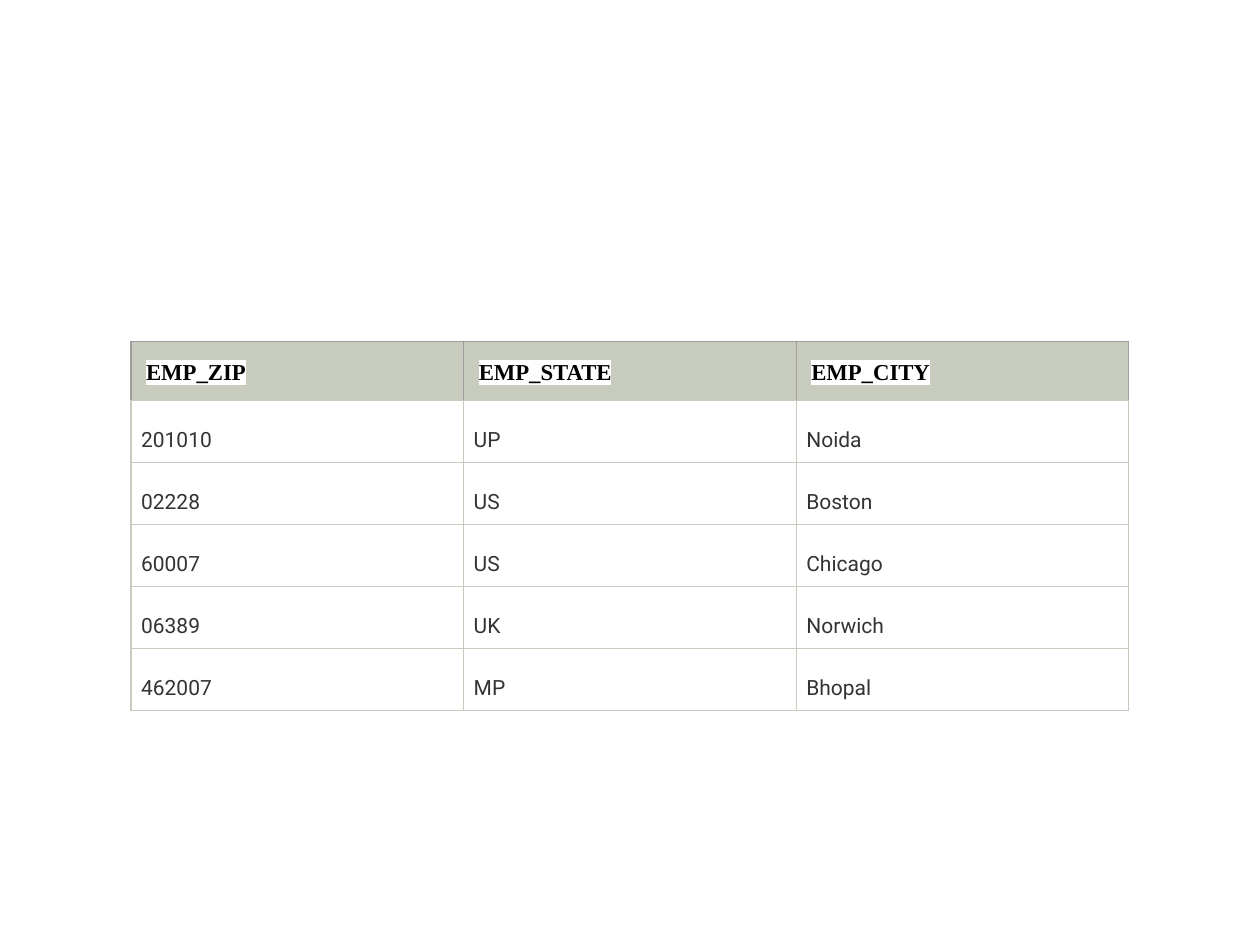
"""Build a slide with a table of employee ZIP codes, states and cities."""
from lxml import etree
from pptx import Presentation
from pptx import util as u
from pptx.dml.color import RGBColor
from pptx.enum import text
from pptx.oxml import ns

COLORS = {"sage": "C7CCBE", "gray": "9E9E9E", "ink": "333333",
          "black": "000000", "white": "FFFFFF"}
ROWS = [
    ("EMP_ZIP", "EMP_STATE", "EMP_CITY"),
    ("201010", "UP", "Noida"),
    ("02228", "US", "Boston"),
    ("60007", "US", "Chicago"),
    ("06389", "UK", "Norwich"),
    ("462007", "MP", "Bhopal"),
]
LEFT, TOP, COL_W, ROW_H = (u.Inches(v) for v in (1.04, 2.71, 2.64, 0.42))


def solid(parent, tag, color):
    el = etree.SubElement(parent, ns.qn(tag))
    etree.SubElement(el, ns.qn("a:srgbClr"), val=COLORS[color])
    return el


def set_borders(cell, colors):
    tcPr = cell._tc.get_or_add_tcPr()
    for i, (side, color) in enumerate(zip("LRTB", colors)):
        ln = etree.SubElement(tcPr, ns.qn(f"a:ln{side}"), w=str(u.Pt(0.75)))
        solid(ln, "a:solidFill", color)
        tcPr.insert(i, ln)


prs = Presentation()
prs.slide_width, prs.slide_height = u.Inches(10), u.Inches(7.5)
s = prs.slides.add_slide(prs.slide_layouts[6])
n_rows, n_cols = len(ROWS), len(ROWS[0])
tbl = s.shapes.add_table(n_rows, n_cols, LEFT, TOP,
                         COL_W * n_cols, ROW_H * n_rows).table
tbl.first_row = tbl.horz_banding = False
for col in tbl.columns:
    col.width = COL_W

for i, row in enumerate(ROWS):
    header = i == 0
    tbl.rows[i].height = ROW_H
    for j, value in enumerate(row):
        cell = tbl.cell(i, j)
        inset = u.Inches(0.12 if header else 0.08)
        cell.margin_left = cell.margin_right = inset
        cell.margin_top = cell.margin_bottom = inset
        p = cell.text_frame.paragraphs[0]
        p.line_spacing = 1.15 if header else 1.7
        p.alignment = text.PP_ALIGN.LEFT if header else text.PP_ALIGN.JUSTIFY
        r = p.add_run()
        r.text = value
        r.font.size = u.Pt(13 if header else 12)
        r.font.bold = header
        r.font.color.rgb = RGBColor.from_string(COLORS["black" if header else "ink"])
        if header:
            solid(r.font._element, "a:highlight", "white")
            cell.fill.solid()
            cell.fill.fore_color.rgb = RGBColor.from_string(COLORS["sage"])
            set_borders(cell, ["gray"] * 3 + ["sage"])
        else:
            cell.fill.background()
            set_borders(cell, ["sage"] * 4)
        r.font.name = "Times New Roman" if header else "Roboto"

prs.save("out.pptx")
